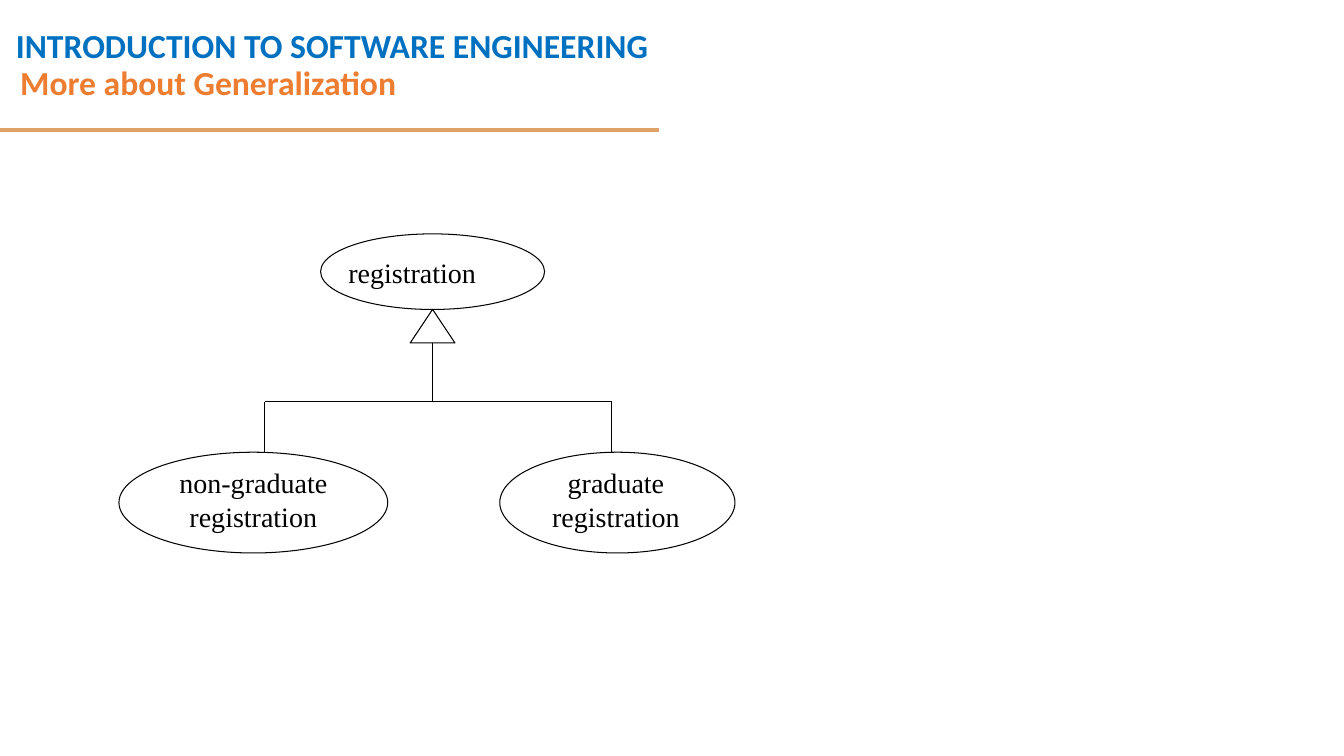
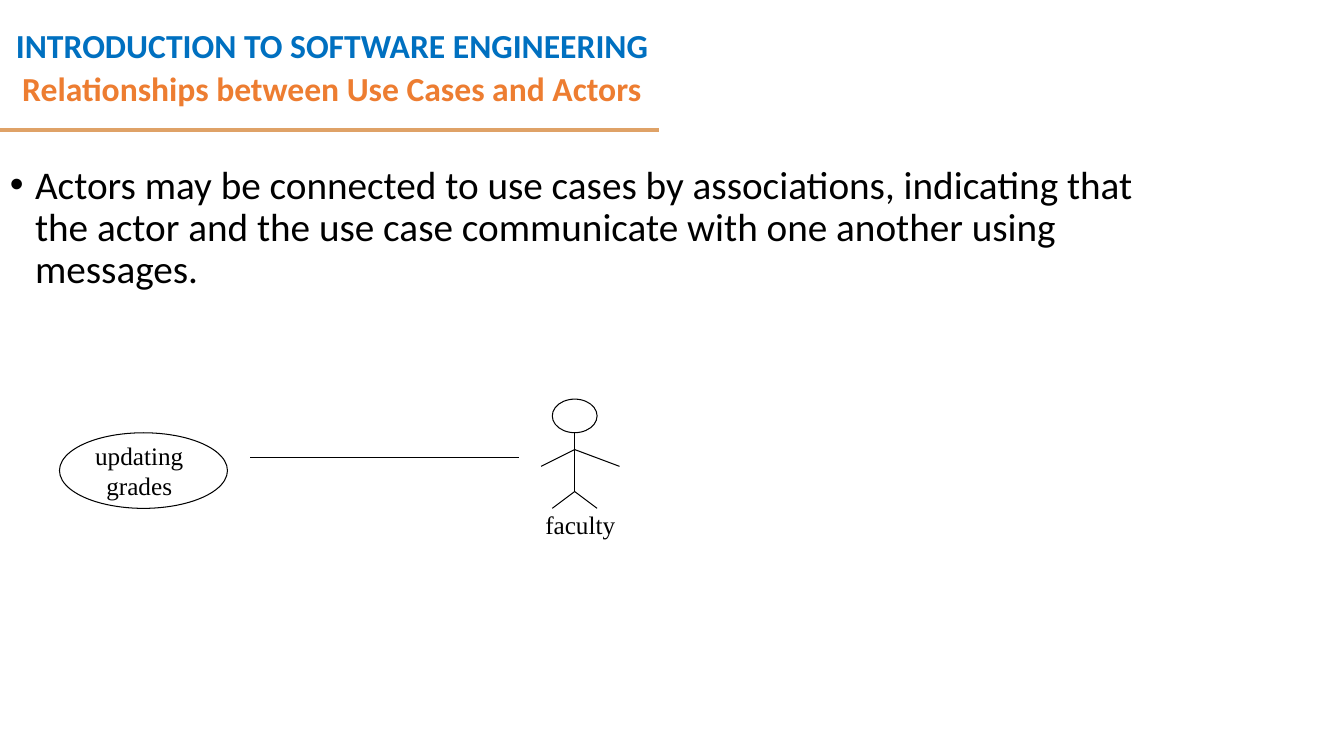
from dataclasses import dataclass

from lxml import etree
from pptx import Presentation
from pptx.dml.color import RGBColor
from pptx.enum.shapes import MSO_CONNECTOR, MSO_SHAPE
from pptx.enum.text import MSO_ANCHOR, PP_ALIGN
from pptx.oxml.ns import qn
from pptx.util import Emu, Inches, Pt

SLIDE_WIDTH, SLIDE_HEIGHT = Inches(13.33), Inches(7.5)
CELL = SLIDE_WIDTH / 120  # one square of the diagram grid
TITLE_ONLY = 5

BLUE = RGBColor(0x00, 0x70, 0xC0)
ORANGE = RGBColor(0xED, 0x7D, 0x31)
TAN = RGBColor(0xDF, 0xA2, 0x67)
BLACK = RGBColor(0x00, 0x00, 0x00)

ELLIPSE, TRIANGLE = MSO_SHAPE.OVAL, MSO_SHAPE.ISOSCELES_TRIANGLE
STRAIGHT = MSO_CONNECTOR.STRAIGHT
LEFT, CENTER = PP_ALIGN.LEFT, PP_ALIGN.CENTER
TOP, MIDDLE = MSO_ANCHOR.TOP, MSO_ANCHOR.MIDDLE


@dataclass(frozen=True)
class TextStyle:
    size: int
    color: RGBColor = BLACK
    font: str = "Calibri"
    bold: bool = False
    align: PP_ALIGN = LEFT
    spacing: float = 1.0


COURSE = TextStyle(24, BLUE, bold=True, spacing=1.5)
TITLE = TextStyle(24, ORANGE, bold=True, spacing=0.9)
BODY = TextStyle(28, spacing=0.9)
CASE_LEFT = TextStyle(20, font="Times New Roman")
CASE = TextStyle(20, font="Times New Roman", align=CENTER)
SMALL_CASE = TextStyle(18, font="Times New Roman", align=CENTER)


@dataclass(frozen=True)
class Outline:
    """A preset shape, in grid columns and rows from the diagram's origin."""
    preset: MSO_SHAPE
    column: float
    row: float
    columns: float
    rows: float


@dataclass(frozen=True)
class Label:
    lines: tuple[str, ...]
    style: TextStyle
    column: float
    row: float
    columns: float
    rows: float


@dataclass(frozen=True)
class Link:
    column: float
    row: float
    end_column: float
    end_row: float


@dataclass(frozen=True)
class Diagram:
    left: float  # origin in inches
    top: float
    elements: tuple[Outline | Label | Link, ...]

    def x(self, column: float) -> Emu:
        return Emu(round(Inches(self.left) + column * CELL))

    def y(self, row: float) -> Emu:
        return Emu(round(Inches(self.top) + row * CELL))


GENERALIZATION = Diagram(1.18, 2.32, (
    # Parent use case and its arrowhead
    Outline(ELLIPSE, 18, 0, 20, 6.75),
    Label(("registration",), CASE_LEFT, 19.6, 1.5, 18.4, 3.9),
    Outline(TRIANGLE, 26, 6.75, 4, 3),
    # Child use cases
    Outline(ELLIPSE, 0, 19.5, 24, 9),
    Label(("non-graduate", "registration"), CASE, 1, 20.25, 22, 7),
    Outline(ELLIPSE, 34, 19.5, 21, 9),
    Label(("graduate", "registration"), CASE, 34.75, 20.25, 19.25, 7),
    # Tree
    Link(28, 9.75, 28, 15),
    Link(13, 15, 44, 15),
    Link(13, 15, 13, 19.5),
    Link(44, 15, 44, 19.5),
))

ASSOCIATION = Diagram(0.59, 3.96, (
    # Use case
    Outline(ELLIPSE, 0, 3, 15, 6.75),
    Label(("updating", "grades"), SMALL_CASE, 0.25, 3.25, 13.75, 6.25),
    # Actor: head, body, arms, legs
    Outline(ELLIPSE, 44, 0, 4, 3),
    Link(46, 3, 46, 8.25),
    Link(46, 4.5, 50, 6),
    Link(46, 4.5, 43, 6),
    Link(46, 8.25, 48, 9.75),
    Link(46, 8.25, 44, 9.75),
    Label(("faculty",), SMALL_CASE, 41, 9.4, 11, 3.6),
    # Association
    Link(41, 5.25, 17, 5.25),
))


def write(shape, lines: tuple[str, ...], style: TextStyle, anchor=TOP) -> None:
    frame = shape.text_frame
    frame.word_wrap = True
    frame.vertical_anchor = anchor
    for index, line in enumerate(lines):
        paragraph = frame.add_paragraph() if index else frame.paragraphs[0]
        paragraph.alignment = style.align
        paragraph.line_spacing = style.spacing
        run = paragraph.add_run()
        run.text = line
        run.font.name = style.font
        run.font.size = Pt(style.size)
        run.font.bold = style.bold
        run.font.color.rgb = style.color


def add_line(slide, start: tuple, end: tuple, color: RGBColor = BLACK,
             width: float = 0.75) -> None:
    connector = slide.shapes.add_connector(STRAIGHT, *start, *end)
    connector.line.color.rgb = color
    connector.line.width = Pt(width)
    etree.SubElement(connector._element.spPr, qn("a:effectLst"))


def add_titled_slide(presentation, title: str, left: float, top: float,
                     width: float):
    slide = presentation.slides.add_slide(presentation.slide_layouts[TITLE_ONLY])
    course = slide.shapes.add_textbox(Inches(0.06), 0, Inches(9.87), Inches(0.7))
    write(course, ("INTRODUCTION TO SOFTWARE ENGINEERING",), COURSE)
    rule = Inches(1.29)
    add_line(slide, (0, rule), (Inches(6.54), rule), TAN, 3)
    heading = slide.shapes.title
    heading.left, heading.top = Inches(left), Inches(top)
    heading.width, heading.height = Inches(width), Inches(0.88)
    write(heading, (title,), TITLE, MIDDLE)
    return slide


def add_bullet(slide, text: str) -> None:
    box = slide.shapes.add_textbox(0, Inches(1.59), Inches(11.5), Inches(4.76))
    properties = box.text_frame.paragraphs[0]._p.get_or_add_pPr()
    properties.set("marL", str(Inches(0.25)))
    properties.set("indent", str(-Inches(0.25)))
    etree.SubElement(properties, qn("a:buFont")).set("typeface", "Arial")
    etree.SubElement(properties, qn("a:buChar")).set("char", "•")
    write(box, (text,), BODY)


def draw(slide, diagram: Diagram) -> None:
    for element in diagram.elements:
        start = diagram.x(element.column), diagram.y(element.row)
        if isinstance(element, Link):
            end = diagram.x(element.end_column), diagram.y(element.end_row)
            add_line(slide, start, end)
            continue
        size = round(element.columns * CELL), round(element.rows * CELL)
        if isinstance(element, Label):
            box = slide.shapes.add_textbox(*start, *size)
            write(box, element.lines, element.style)
        else:
            shape = slide.shapes.add_shape(element.preset, *start, *size)
            shape.shadow.inherit = False
            shape.fill.background()
            shape.line.color.rgb = BLACK
            shape.line.width = Pt(0.75)


def main() -> None:
    presentation = Presentation()
    presentation.slide_width = SLIDE_WIDTH
    presentation.slide_height = SLIDE_HEIGHT

    # Generalization
    slide = add_titled_slide(presentation, "More about Generalization",
                             0.1, 0.4, 11.5)
    draw(slide, GENERALIZATION)

    # Use cases and actors
    slide = add_titled_slide(presentation,
                             "Relationships between Use Cases and Actors",
                             0.12, 0.46, 9.58)
    add_bullet(slide, "Actors may be connected to use cases by associations, "
                      "indicating that the actor and the use case communicate "
                      "with one another using messages.")
    draw(slide, ASSOCIATION)

    presentation.save("out.pptx")


if __name__ == "__main__":
    main()
